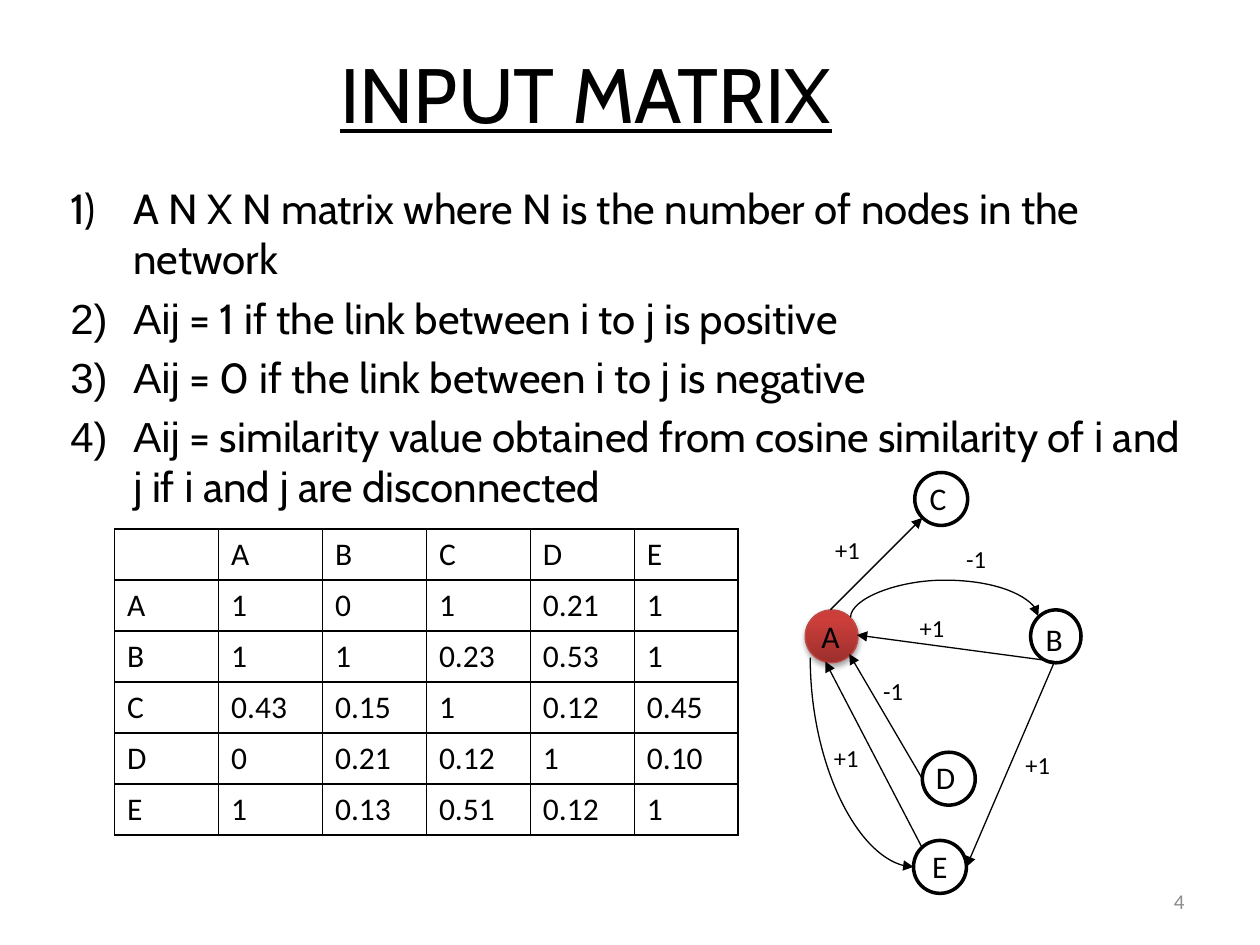
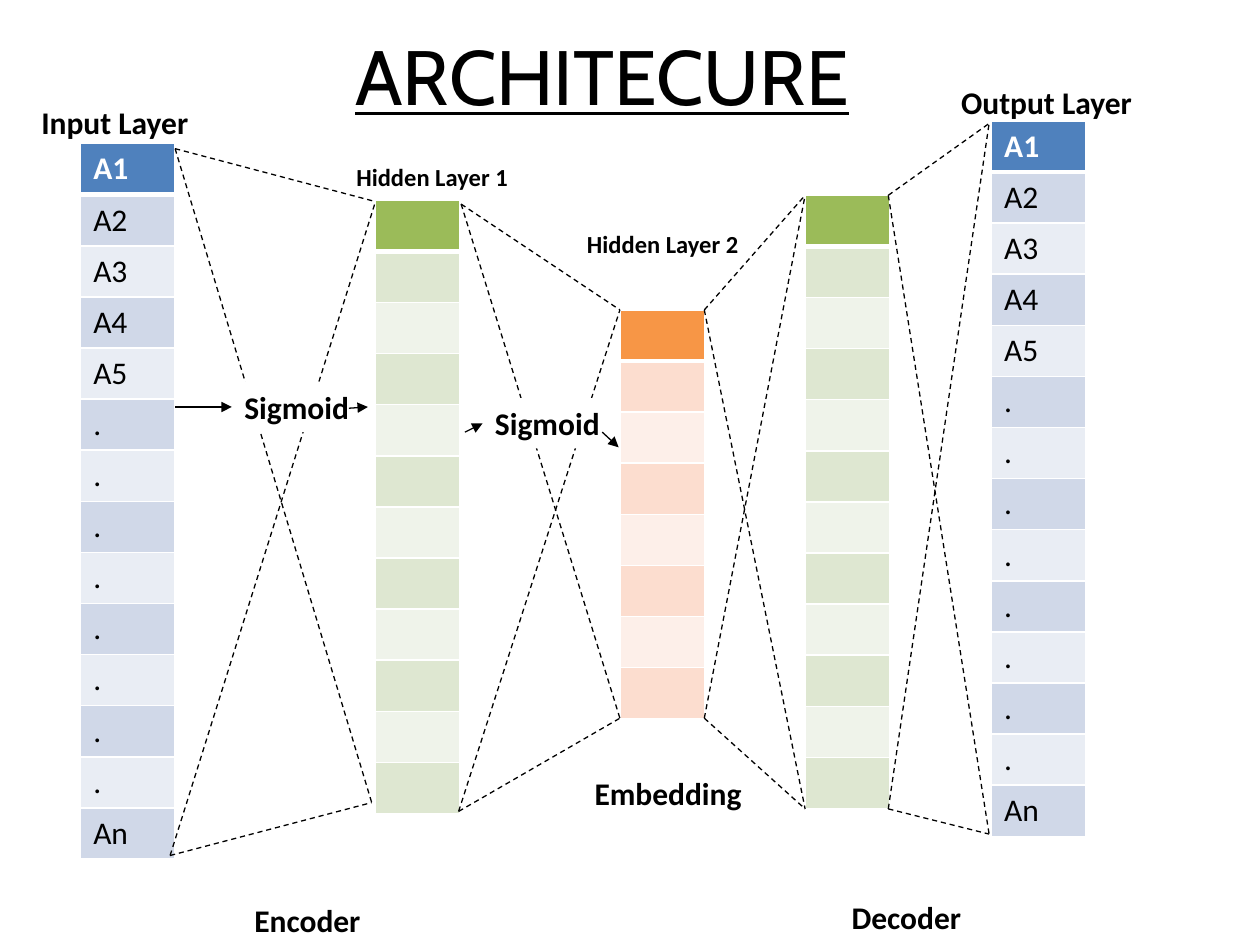
"""Builds two slides: a signed-network input matrix and an autoencoder architecture."""
from dataclasses import dataclass
from itertools import product

from lxml import etree
from pptx import Presentation
from pptx.dml.color import RGBColor
from pptx.enum.dml import MSO_LINE
from pptx.enum.shapes import MSO_CONNECTOR as Connector, MSO_SHAPE as Preset
from pptx.enum.text import MSO_ANCHOR as Anchor, PP_ALIGN as Align
from pptx.oxml import parse_xml
from pptx.oxml.ns import nsdecls, qn
from pptx.util import Inches, Pt


@dataclass(frozen=True)
class Theme:
    """Holds the colours, fonts and sizes that the slides share."""
    black: str = "000000"
    white: str = "FFFFFF"
    grey: str = "8C8C8C"
    node_dark: str = "9C2F2D"
    node_light: str = "CB3E3A"
    node_edge: str = "BF4C48"
    blue: tuple = ("4F81BD", "D0D8E8", "E9EDF4")
    green: tuple = ("9BBB59", "DEE7D1", "EFF3EA")
    orange: tuple = ("F79646", "FCDDCF", "FDEFE9")
    title_font: str = "Cabin"
    symbol_font: str = "Arial"
    body_font: str = "Calibri"
    title_size: int = 44
    list_size: int = 24
    body_size: int = 18
    small_size: int = 14
    footer_size: int = 12
    thin: float = 0.75
    thick: float = 2


@dataclass(frozen=True)
class Box:
    """A region of the slide in inches."""
    left: float
    top: float
    width: float
    height: float

    def inner(self, left, top, width, height):
        """Return a box placed relative to this one."""
        return Box(self.left + left, self.top + top, width, height)

    def point(self, place):
        """Return an absolute point from one relative to this box."""
        return self.left + place[0], self.top + place[1]

    @property
    def lengths(self):
        """Return the four measures as lengths."""
        return [Inches(value) for value in (self.left, self.top, self.width, self.height)]


THEME = Theme()


def rgb(code):
    """Return the colour for a hex code."""
    return RGBColor.from_string(code)


def style_font(font, size, color=THEME.black, name=THEME.body_font, bold=False):
    """Format one font."""
    font.size, font.name, font.bold = Pt(size), name, bold
    font.color.rgb = rgb(color)


def add_title(slide, text, box):
    """Place and format the title placeholder."""
    title = slide.shapes.title
    title.left, title.top, title.width, title.height = box.lengths
    title.text_frame.text = text
    title.text_frame.vertical_anchor = Anchor.MIDDLE
    paragraph = title.text_frame.paragraphs[0]
    paragraph.alignment = Align.CENTER
    style_font(paragraph.font, THEME.title_size, name=THEME.title_font)
    paragraph.font.underline = True


def add_label(slide, text, box, size=THEME.body_size, bold=False, color=THEME.black):
    """Add a one-line text box and return it."""
    label = slide.shapes.add_textbox(*box.lengths)
    label.text_frame.word_wrap = True
    paragraph = label.text_frame.paragraphs[0]
    paragraph.text = text
    style_font(paragraph.font, size, color, bold=bold)
    return label


def add_line(slide, start, end, arrow=True, kind=Connector.STRAIGHT):
    """Add a thin black connector, with an arrowhead or dashed."""
    ends = [Inches(value) for value in (*start, *end)]
    connector = slide.shapes.add_connector(kind, *ends)
    connector.line.color.rgb = rgb(THEME.black)
    connector.line.width = Pt(THEME.thin)
    properties = connector._element.spPr
    if arrow:
        head = etree.SubElement(properties.find(qn("a:ln")), qn("a:tailEnd"))
        head.set("type", "triangle")
    else:
        connector.line.dash_style = MSO_LINE.DASH
    etree.SubElement(properties, qn("a:effectLst"))
    return connector


def add_curve(slide, box, preset, turn, flips, bend=None):
    """Add a curved arrow whose box is turned and flipped."""
    connector = add_line(slide, (box.left, box.top),
                         (box.left + box.width, box.top + box.height), kind=Connector.CURVE)
    properties = connector._element.spPr
    transform = properties.find(qn("a:xfrm"))
    transform.set("rot", str(turn * 60000))
    for flip in flips:
        transform.set(flip, "1")
    geometry = properties.find(qn("a:prstGeom"))
    geometry.set("prst", preset)
    if bend:
        guide = etree.SubElement(geometry.find(qn("a:avLst")), qn("a:gd"))
        guide.set("name", "adj1")
        guide.set("fmla", f"val {bend}")


def set_borders(cell, color, bottom=1):
    """Draw the four borders of a cell, 1 pt except for the bottom."""
    for side, width in zip("LRTB", (1, 1, 1, bottom)):
        cell._tc.get_or_add_tcPr().append(parse_xml(
            f'<a:ln{side} {nsdecls("a")} w="{Pt(width)}"><a:solidFill>'
            f'<a:srgbClr val="{color}"/></a:solidFill></a:ln{side}>'))


def add_plain_table(slide, box, rows, columns):
    """Add a table without banding or header emphasis."""
    table = slide.shapes.add_table(rows, columns, *box.lengths).table
    table.first_row = table.horz_banding = False
    return table


def add_matrix(slide, box):
    """Add the similarity matrix with its row and column names."""
    rows = [("", "A", "B", "C", "D", "E"),
            ("A", "1", "0", "1", "0.21", "1"),
            ("B", "1", "1", "0.23", "0.53", "1"),
            ("C", "0.43", "0.15", "1", "0.12", "0.45"),
            ("D", "0", "0.21", "0.12", "1", "0.10"),
            ("E", "1", "0.13", "0.51", "0.12", "1")]
    table = add_plain_table(slide, box, len(rows), len(rows[0]))
    for cell, text in zip(table.iter_cells(), [text for row in rows for text in row]):
        cell.text = text
        style_font(cell.text_frame.paragraphs[0].font, THEME.body_size)
        set_borders(cell, THEME.black)
        cell.fill.background()


def add_rules(slide, box):
    """Add the numbered rules, with symbols and words in alternating fonts."""
    rules = ["|A N X N matrix where N is the number of nodes in the network",
             "Aij| = 1 if the link between |i| to |j| is positive",
             "Aij| = 0 if the link between |i| to |j| is negative",
             "Aij| = similarity value obtained from cosine similarity of "
             "|i| and |j| if |i| and |j| are disconnected"]
    frame = slide.shapes.add_textbox(*box.lengths).text_frame
    frame.word_wrap = True
    for index, rule in enumerate(rules):
        paragraph = frame.add_paragraph() if index else frame.paragraphs[0]
        paragraph.space_before = Pt(5)
        properties = paragraph._p.get_or_add_pPr()
        properties.set("marL", str(Inches(0.5)))
        properties.set("indent", str(-Inches(0.5)))
        etree.SubElement(properties, qn("a:buAutoNum")).set("type", "arabicParenR")
        for position, text in enumerate(rule.split("|")):
            if text:
                run = paragraph.add_run()
                run.text = text
                name = THEME.title_font if position % 2 else THEME.symbol_font
                style_font(run.font, THEME.list_size, name=name)


def add_node(slide, box, highlighted):
    """Add one network node, red with a shadow when highlighted."""
    node = slide.shapes.add_shape(Preset.OVAL, *box.lengths)
    node.shadow.inherit = False
    node.line.color.rgb = rgb(THEME.node_edge if highlighted else THEME.black)
    node.line.width = Pt(THEME.thin if highlighted else THEME.thick)
    if not highlighted:
        node.fill.solid()
        node.fill.fore_color.rgb = rgb(THEME.white)
        return
    node.fill.gradient()
    node.fill.gradient_angle = 90
    stops = zip(node.fill.gradient_stops, (THEME.node_dark, THEME.node_light), (0, 0.8))
    for stop, color, position in stops:
        stop.color.rgb, stop.position = rgb(color), position
    node._element.spPr.find(qn("a:effectLst")).append(parse_xml(
        f'<a:outerShdw {nsdecls("a")} blurRad="40000" dist="23000" dir="5400000" '
        f'rotWithShape="0"><a:srgbClr val="{THEME.black}"><a:alpha val="35000"/>'
        '</a:srgbClr></a:outerShdw>'))


def add_network(slide, box):
    """Add the signed network of five nodes."""
    nodes = {"A": (0, 1.09, 0.42, 0.03, 0.01), "B": (1.79, 1.09, 0.4, 0.02, 0.03),
             "C": (0.87, 0, 0.42, 0.02, 0), "D": (0.93, 2.22, 0.42, 0.01, 0),
             "E": (0.86, 2.92, 0.42, 0.05, 0)}
    arrows = [((0.2, 1.09), (0.93, 0.36)), ((1.98, 1.5), (0.41, 1.29)),
              ((1.98, 1.5), (1.28, 3.13)), ((0.93, 2.43), (0.35, 1.44)),
              ((0.93, 2.98), (0.16, 1.5))]
    weights = [("+1", 0.14, 0.45), ("-1", 0.52, 1.57), ("+1", 0.81, 1.07),
               ("+1", 0.13, 2.1), ("+1", 1.65, 2.15), ("-1", 1.18, 0.52)]
    for name, (left, top, width, shift, drop) in nodes.items():
        add_node(slide, box.inner(left, top, width, 0.42), name == "A")
        add_label(slide, name, box.inner(left + shift, top + drop, 0.27, 0.4))
    for start, end in arrows:
        add_line(slide, box.point(start), box.point(end))
    add_curve(slide, box.inner(-0.38, 1.89, 1.66, 0.82), "curvedConnector2", 270, ["flipH"])
    add_curve(slide, box.inner(1.1, 0.4, 0.01, 1.49), "curvedConnector3", 90,
              ["flipH", "flipV"], bend=3000000)
    for text, left, top in weights:
        add_label(slide, text, box.inner(left, top, 0.55, 0.34), THEME.small_size)


def add_layer(slide, box, colors, texts):
    """Add a layer as a one-column table with a strong first cell."""
    head, *bands = colors
    table = add_plain_table(slide, box, len(texts), 1)
    for index, (cell, text) in enumerate(zip(table.iter_cells(), texts)):
        first = index == 0
        cell.text = text
        style_font(cell.text_frame.paragraphs[0].font, THEME.body_size,
                   THEME.white if first else THEME.black, bold=first)
        set_borders(cell, THEME.white, bottom=3 if first else 1)
        cell.fill.solid()
        cell.fill.fore_color.rgb = rgb(head if first else bands[(index - 1) % 2])


def add_activation(slide, box, arrows):
    """Add a Sigmoid label that covers the lines behind it, with its arrows."""
    label = add_label(slide, "Sigmoid", box, bold=True)
    label.fill.solid()
    label.fill.fore_color.rgb = rgb(THEME.white)
    for start, end in arrows:
        add_line(slide, box.point(start), box.point(end))


def build_matrix_slide(slide):
    """Build the slide on the input matrix."""
    add_title(slide, "INPUT MATRIX", Box(0.15, 0.11, 9, 1.25))
    number = add_label(slide, "4", Box(7.17, 6.95, 2.33, 0.4), THEME.footer_size,
                       color=THEME.grey)
    number.text_frame.vertical_anchor = Anchor.MIDDLE
    number.text_frame.paragraphs[0].alignment = Align.RIGHT
    add_rules(slide, Box(0.46, 1.4, 9.08, 3.04))
    add_network(slide, Box(6.39, 3.75, 2.19, 3.34))
    add_matrix(slide, Box(0.91, 4.2, 4.95, 2.43))


def build_architecture_slide(slide):
    """Build the slide on the encoder and decoder layers."""
    add_title(slide, "ARCHITECURE", Box(0.28, -0.03, 9, 1.25))
    values = ["A1", "A2", "A3", "A4", "A5", *["."] * 8, "An"]
    layers = [(Box(0.64, 1.14, 0.75, 5.68), THEME.blue, values),
              (Box(2.98, 1.59, 0.67, 4.87), THEME.green, [""] * 12),
              (Box(4.92, 2.46, 0.67, 3.24), THEME.orange, [""] * 8),
              (Box(6.39, 1.55, 0.67, 4.87), THEME.green, [""] * 12),
              (Box(7.87, 0.96, 0.75, 5.68), THEME.blue, values)]
    for layer in layers:
        add_layer(slide, *layer)
    bundles = [(((1.39, 1.18), (1.35, 6.79)), ((2.98, 1.6), (2.95, 6.37))),
               (((3.66, 1.62), (3.64, 6.44)), ((4.92, 2.46), (4.92, 5.7))),
               (((5.59, 2.46), (5.59, 5.7)), ((6.39, 1.55), (6.39, 6.42))),
               (((7.05, 1.55), (7.05, 6.42)), ((7.85, 0.98), (7.85, 6.62)))]
    for starts, ends in bundles:
        for start, end in product(starts, ends):
            add_line(slide, start, end, arrow=False)
    add_activation(slide, Box(1.84, 3.03, 1.08, 0.4),
                   [((-0.45, 0.2), (0, 0.2)), ((0.93, 0.21), (1.08, 0.2))])
    add_activation(slide, Box(3.83, 3.16, 1.08, 0.4),
                   [((-0.14, 0.27), (0, 0.2)), ((0.95, 0.27), (1.08, 0.39))])
    captions = [("Encoder", 1.92, 7.1, 1.15), ("Decoder", 6.66, 7.08, 1.15),
                ("Input Layer", 0.23, 0.77, 1.7), ("Output Layer", 7.53, 0.61, 1.72),
                ("Embedding", 4.62, 6.09, 1.51)]
    for text, left, top, width in captions:
        add_label(slide, text, Box(left, top, width, 0.4), bold=True)
    for text, left, top in [("Hidden Layer 1", 2.73, 1.24), ("Hidden Layer 2", 4.56, 1.77)]:
        add_label(slide, text, Box(left, top, 1.49, 0.34), THEME.small_size, bold=True)


def main():
    """Build and save the presentation."""
    presentation = Presentation()
    presentation.slide_width, presentation.slide_height = Inches(10), Inches(7.5)
    title_only = presentation.slide_layouts[5]
    for build in (build_matrix_slide, build_architecture_slide):
        build(presentation.slides.add_slide(title_only))
    presentation.save("out.pptx")


if __name__ == "__main__":
    main()
